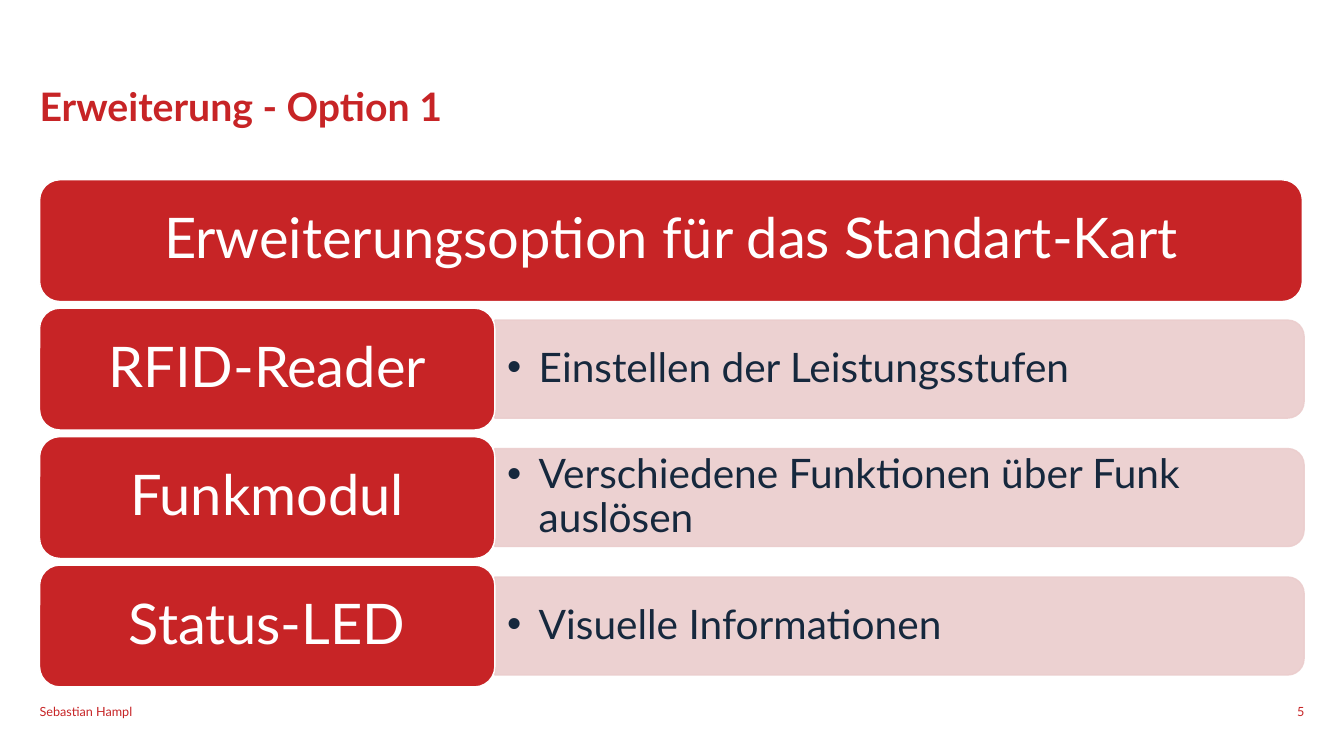
from lxml.etree import SubElement
from pptx import Presentation
from pptx.dml.color import RGBColor
from pptx.enum.shapes import MSO_SHAPE
from pptx.enum.text import MSO_ANCHOR, MSO_AUTO_SIZE, PP_ALIGN
from pptx.oxml.ns import qn
from pptx.util import Pt

TITLE = "Erweiterung - Option 1"
HEADER = "Erweiterungsoption für das Standart-Kart"
MODULES = [
    ("RFID-Reader", "Einstellen der Leistungsstufen"),
    ("Funkmodul", "Verschiedene Funktionen über Funk auslösen"),
    ("Status-LED", "Visuelle Informationen"),
]
AUTHOR = "Sebastian Hampl"
PAGE = "5"

FONT = "Lato"
COLORS = {"red": "C72426", "pink": "EBCDCD", "navy": "16283D", "white": "FFFFFF"}
LEFT, TOP = 28.3, 128.4
CARD_H, PITCH = 87, 91.75
HEADER_W, CARD_W = 902, 325.2
BAR_W, BAR_H = 578, 70
TEXT_W, TEXT_H = 574.6, 63


def rgb(name):
    return RGBColor.from_string(COLORS[name])


def write(sp, text, size, color, align=PP_ALIGN.LEFT, anchor=MSO_ANCHOR.TOP,
          inset=(0, 0), spacing=None, bold=False, bullet=False):
    tf = sp.text_frame
    tf.word_wrap = True
    tf.auto_size = MSO_AUTO_SIZE.NONE
    tf.vertical_anchor = anchor
    tf.margin_left = tf.margin_right = Pt(inset[0])
    tf.margin_top = tf.margin_bottom = Pt(inset[1])
    tf.text = text
    p = tf.paragraphs[0]
    p.alignment = align
    if spacing:
        p.line_spacing = spacing
    if bullet:
        pPr = p._p.get_or_add_pPr()
        pPr.set("marL", str(Pt(22.5)))
        pPr.set("indent", str(Pt(-22.5)))
        SubElement(pPr, qn("a:buFont")).set("typeface", "Arial")
        SubElement(pPr, qn("a:buChar")).set("char", "•")
    font = p.runs[0].font
    font.name, font.size, font.bold = FONT, Pt(size), bold
    font.color.rgb = rgb(color)


def add_box(s, x, y, w, h):
    return s.shapes.add_textbox(Pt(x), Pt(y), Pt(w), Pt(h))


def add_shape(s, kind, x, y, w, h, fill, line):
    sp = s.shapes.add_shape(kind, Pt(x), Pt(y), Pt(w), Pt(h))
    sp.shadow.inherit = False
    sp.fill.solid()
    sp.fill.fore_color.rgb = rgb(fill)
    sp.line.color.rgb = rgb(line)
    sp.line.width = Pt(1)
    return sp


def add_card(s, text, y, w):
    sp = add_shape(s, MSO_SHAPE.ROUNDED_RECTANGLE, LEFT, y, w, CARD_H, "red", "white")
    write(sp, text, 40, "white", PP_ALIGN.CENTER, MSO_ANCHOR.MIDDLE, (12, 6), 0.9)


def add_bar(s, text, y):
    x, middle = LEFT + CARD_W, y + CARD_H / 2
    sp = add_shape(s, MSO_SHAPE.ROUND_2_SAME_RECTANGLE, x + (BAR_W - BAR_H) / 2,
                   middle - BAR_W / 2, BAR_H, BAR_W, "pink", "pink")
    sp.rotation = 90
    for color in sp._element.spPr.iter(qn("a:srgbClr")):
        SubElement(color, qn("a:alpha")).set("val", "90000")
    box = add_box(s, x, middle - TEXT_H / 2, TEXT_W, TEXT_H)
    write(box, text, 29, "navy", anchor=MSO_ANCHOR.MIDDLE, inset=(8.8, 4.4),
          spacing=0.9, bullet=True)


def main():
    prs = Presentation()
    prs.slide_width, prs.slide_height = Pt(960), Pt(540)
    s = prs.slides.add_slide(prs.slide_layouts[5])

    title = s.shapes.title
    title.left, title.top, title.width, title.height = Pt(LEFT), Pt(63.4), Pt(903.6), Pt(29.5)
    write(title, TITLE, 28, "red", spacing=Pt(29), bold=True)

    add_card(s, HEADER, TOP, HEADER_W)
    for i, (name, detail) in enumerate(MODULES, 1):
        y = TOP + i * PITCH
        add_bar(s, detail, y)
        add_card(s, name, y, CARD_W)

    write(add_box(s, LEFT, 502.6, 708, 11), AUTHOR, 9, "red")
    write(add_box(s, 877.7, 502.6, 54, 11), PAGE, 9, "red", PP_ALIGN.RIGHT, MSO_ANCHOR.BOTTOM)
    prs.save("out.pptx")


if __name__ == "__main__":
    main()
